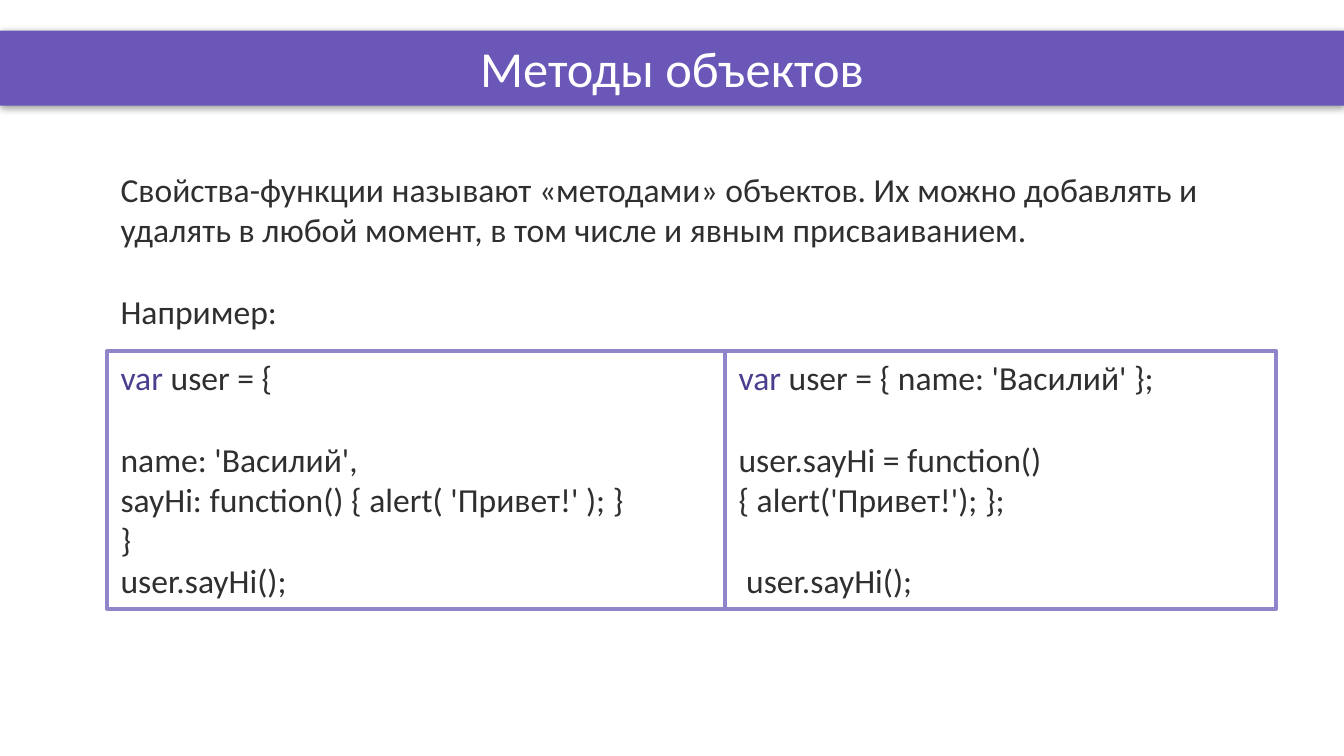
from lxml import etree
from pptx import Presentation
from pptx.dml.color import RGBColor
from pptx.enum.shapes import MSO_SHAPE
from pptx.enum.text import MSO_ANCHOR, MSO_AUTO_SIZE, PP_ALIGN
from pptx.oxml import parse_xml
from pptx.util import Cm, Pt

RECT = MSO_SHAPE.RECTANGLE
TOP, MIDDLE = MSO_ANCHOR.TOP, MSO_ANCHOR.MIDDLE
LEFT, CENTER = PP_ALIGN.LEFT, PP_ALIGN.CENTER
FIXED = MSO_AUTO_SIZE.NONE

FONT = "Calibri"
BAR, EDGE, KEY, INK, WHITE = "6A57B7", "9184CA", "4D3D8E", "2F2F2F", "FFFFFF"
SIZE = 18
GAP = 22  # one line of body text, in points
WIDE, HIGH = 25.4, 14.29

SHADOW = (
    '<a:effectLst xmlns:a="http://schemas.openxmlformats.org/drawingml/2006/main">'
    '<a:outerShdw blurRad="50800" dist="12700" dir="5400000" rotWithShape="0">'
    '<a:srgbClr val="000000"><a:alpha val="40000"/></a:srgbClr>'
    '</a:outerShdw></a:effectLst>'
)

# Each line is (gap before in points, [(text, colour), ...])
INTRO = [
    (0, [("Свойства-функции называют «методами» объектов. Их можно добавлять и "
          "удалять в любой момент, в том числе и явным присваиванием.", INK)]),
    (GAP, [("Например:", INK)]),
]
INLINE = [
    (0, [("var ", KEY), ("user = {", INK)]),
    (GAP, [("name: 'Василий',", INK)]),
    (0, [("sayHi: function() { alert( 'Привет!' ); }", INK)]),
    (0, [("}", INK)]),
    (0, [("user.sayHi();", INK)]),
]
ADDED = [
    (0, [("var", KEY), (" user = { name: 'Василий' };", INK)]),
    (GAP, [("user.sayHi = function() { alert('Привет!'); };", INK)]),
    (GAP, [(" user.sayHi();", INK)]),
]


def color(code):
    return RGBColor.from_string(code)


def cm(box):
    return [Cm(side) for side in box]


def write(shape, lines, size=SIZE, align=LEFT, anchor=TOP):
    frame = shape.text_frame
    frame.word_wrap = True
    frame.auto_size = FIXED
    frame.vertical_anchor = anchor
    for i, (gap, runs) in enumerate(lines):
        para = frame.paragraphs[0] if i == 0 else frame.add_paragraph()
        para.alignment = align
        if gap:
            para.space_before = Pt(gap)
        for text, code in runs:
            run = para.add_run()
            run.text = text
            run.font.name = FONT
            run.font.size = Pt(size)
            run.font.color.rgb = color(code)


def panel(slide, box, fill):
    shape = slide.shapes.add_shape(RECT, *cm(box))
    shape.shadow.inherit = False
    shape.fill.solid()
    shape.fill.fore_color.rgb = color(fill)
    shape.line.fill.background()
    return shape


def header(slide, box, text):
    """Place the title on a shaded band that fills the box."""
    left, top, width, height = box
    band = panel(slide, box, BAR)
    props = band._element.spPr
    for old in props.findall("{*}effectLst"):
        props.remove(old)
    props.append(parse_xml(SHADOW))
    title = slide.shapes.title
    title._element.addprevious(band._element)
    pad = 1.27
    title.left, title.top, title.width, title.height = cm(
        (left + pad, top, width - 2 * pad, height - 0.05))
    write(title, [(0, [(text, WHITE)])], 27, CENTER, MIDDLE)


def intro(slide, box, lines):
    write(slide.shapes.add_textbox(*cm(box)), lines)


def code(slide, box, lines):
    shape = panel(slide, box, WHITE)
    shape.line.color.rgb = color(EDGE)
    shape.line.width = Pt(2)
    write(shape, lines)


def main():
    deck = Presentation()
    deck.slide_width, deck.slide_height = Cm(WIDE), Cm(HIGH)
    slide = deck.slides.add_slide(deck.slide_layouts[5])

    left, top, high = 2.03, 6.63, 4.88
    first, second = 11.68, 10.41
    header(slide, (0, 0.58, WIDE, 1.42), "Методы объектов")
    intro(slide, (left, 3.07, 21.34, 5.64), INTRO)
    code(slide, (left + first, top, second, high), ADDED)
    code(slide, (left, top, first, high), INLINE)
    deck.save("out.pptx")


if __name__ == "__main__":
    main()
